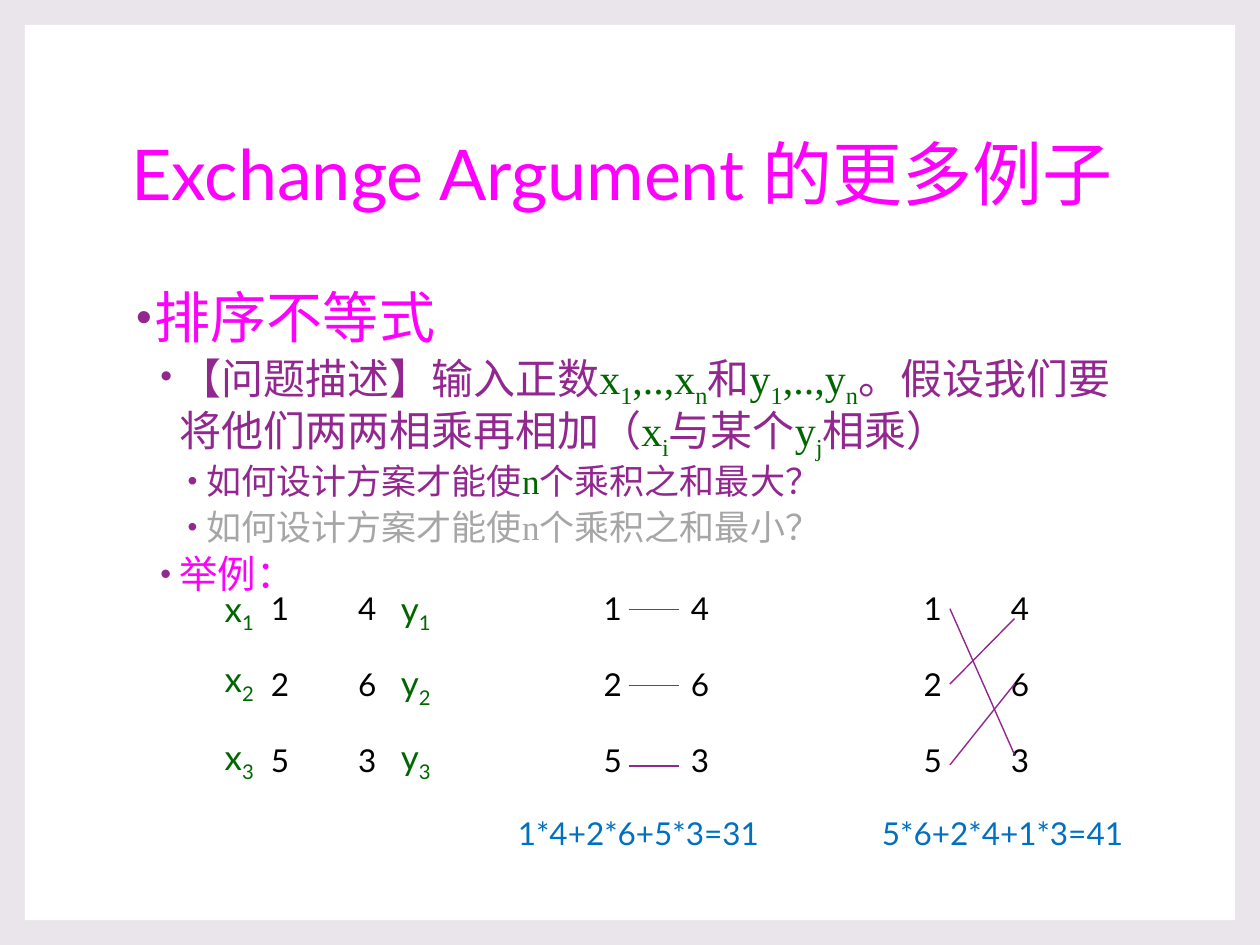
"""Builds the slide on the rearrangement inequality as an exchange argument example."""
from lxml.etree import SubElement
from pptx import Presentation
from pptx.dml.color import RGBColor
from pptx.enum.lang import MSO_LANGUAGE_ID as Lang
from pptx.enum.shapes import MSO_CONNECTOR as Line, MSO_SHAPE as Shape
from pptx.enum.text import MSO_ANCHOR as Anchor, MSO_AUTO_SIZE as Fit, PP_ALIGN as Align
from pptx.oxml.ns import qn
from pptx.util import Cm, Pt

PURPLE, MAGENTA, GREEN, GRAY = "92278F", "FF00FF", "006600", "A6A6A6"
BLACK, BLUE, WHITE, BACKDROP = "000000", "0070C0", "FFFFFF", "EAE5EB"


def paint(fill, color):
    fill.solid()
    fill.fore_color.rgb = RGBColor.from_string(color)


def write(paragraph, text, size=18, color=BLACK, font="Lato", subscript=False):
    run = paragraph.add_run()
    run.text = text
    run.font.size = Pt(size)
    run.font.name = font
    run.font.language_id = Lang.SIMPLIFIED_CHINESE
    paint(run.font.fill, color)
    if subscript:
        run.font._element.set("baseline", "-25000")


deck = Presentation()
deck.slide_width, deck.slide_height = Cm(25.4), Cm(19.05)
slide = deck.slides.add_slide(deck.slide_layouts[1])
paint(slide.background.fill, BACKDROP)
title, body = slide.placeholders

panel = slide.shapes.add_shape(Shape.RECTANGLE, Cm(0.5), Cm(0.5), Cm(24.4), Cm(18.05))
panel.shadow.inherit = False
paint(panel.fill, WHITE)
panel.line.fill.background()
title.element.addprevious(panel.element)

for holder, top, height, anchor in [(title, 1.7, 3.76, Anchor.MIDDLE), (body, 5.72, 6.43, Anchor.TOP)]:
    holder.left, holder.top, holder.width, holder.height = Cm(2.39), Cm(top), Cm(20.57), Cm(height)
    holder.text_frame.auto_size = Fit.NONE
    holder.text_frame.vertical_anchor = anchor
    holder.text_frame.word_wrap = True

heading = title.text_frame.paragraphs[0]
heading.alignment = Align.LEFT
heading.line_spacing = 0.9
write(heading, "Exchange Argument 的更多例子", size=40, color=MAGENTA)

outline = [
    (0, 32, [("排序不等式", MAGENTA)]),
    (1, 24, [("【问题描述】输入正数", PURPLE), ("x_1_,..,x_n", GREEN), ("和", PURPLE),
             ("y_1_,..,y_n", GREEN), ("。假设我们要将他们两两相乘再相加（", PURPLE), ("x_i", GREEN),
             ("与某个", PURPLE), ("y_j", GREEN), ("相乘）", PURPLE)]),
    (2, 20, [("如何设计方案才能使", PURPLE), ("n", GREEN), ("个乘积之和最大？", PURPLE)]),
    (2, 20, [("如何设计方案才能使n个乘积之和最小？", GRAY)]),
    (1, 22, [("举例：", MAGENTA)]),
]
indents = [0.48, 0.97, 1.52]
for number, (level, size, pieces) in enumerate(outline):
    item = body.text_frame.add_paragraph() if number else body.text_frame.paragraphs[0]
    item.level = level
    item.line_spacing = 0.9
    item.space_before = Pt(1.5 if level else 10)
    item.space_after = Pt(3 if level else 0)
    properties = item._p.get_or_add_pPr()
    properties.set("marL", str(Cm(indents[level])))
    properties.set("indent", str(Cm(-0.38)))
    SubElement(SubElement(properties, qn("a:buClr")), qn("a:srgbClr"), val=PURPLE)
    SubElement(properties, qn("a:buSzPct"), val="80000")
    SubElement(properties, qn("a:buFont"), typeface="Arial")
    SubElement(properties, qn("a:buChar"), char="•")
    for piece, color in pieces:
        for position, part in enumerate(piece.split("_")):
            write(item, part, size, color, "Times New Roman", subscript=position % 2 == 1)

given, in_order, best = [slide.shapes.add_group_shape().shapes for _ in range(3)]
first_row, row_step, pair_gap = 11.74, 1.54, 1.76
labels = []
for group, left in [(given, 5.21), (in_order, 11.92), (best, 18.37)]:
    for column, numbers in enumerate(["125", "463"]):
        for row, number in enumerate(numbers):
            labels.append((group, left + column * pair_gap, first_row + row * row_step, 1.17, number, 18, BLACK))

for name, left, tops in [("x", 4.28, (11.71, 13.13, 14.71)), ("y", 7.83, (11.71, 13.21, 14.71))]:
    for index, top in enumerate(tops, 1):
        labels.append((given, left, top, 1.17, f"{name}_{index}", 20, GREEN))

for left, formula in [(10.19, "1*4+2*6+5*3=31"), (17.53, "5*6+2*4+1*3=41")]:
    labels.append((slide.shapes, left, 16.28, 6.43, formula, 18, BLUE))

for group, left, top, width, text, size, color in labels:
    label = group.add_textbox(Cm(left), Cm(top), Cm(width), Cm(1.07)).text_frame
    label.word_wrap = True
    for position, part in enumerate(text.split("_")):
        write(label.paragraphs[0], part, size, color, subscript=position == 1)

pairings = [(in_order, 12.67, 13.69, [(12.29, 12.29), (13.82, 13.82), (15.44, 15.44)]),
            (best, 19.15, 20.45, [(12.27, 15.21), (13.79, 12.47), (15.42, 13.79)])]
for group, left, right, ends in pairings:
    for start, end in ends:
        link = group.add_connector(Line.STRAIGHT, Cm(left), Cm(start), Cm(right), Cm(end))
        paint(link.line.fill, PURPLE)
        link.line.width = Pt(0.79)
        SubElement(link.element.spPr, qn("a:effectLst"))

deck.save("out.pptx")
